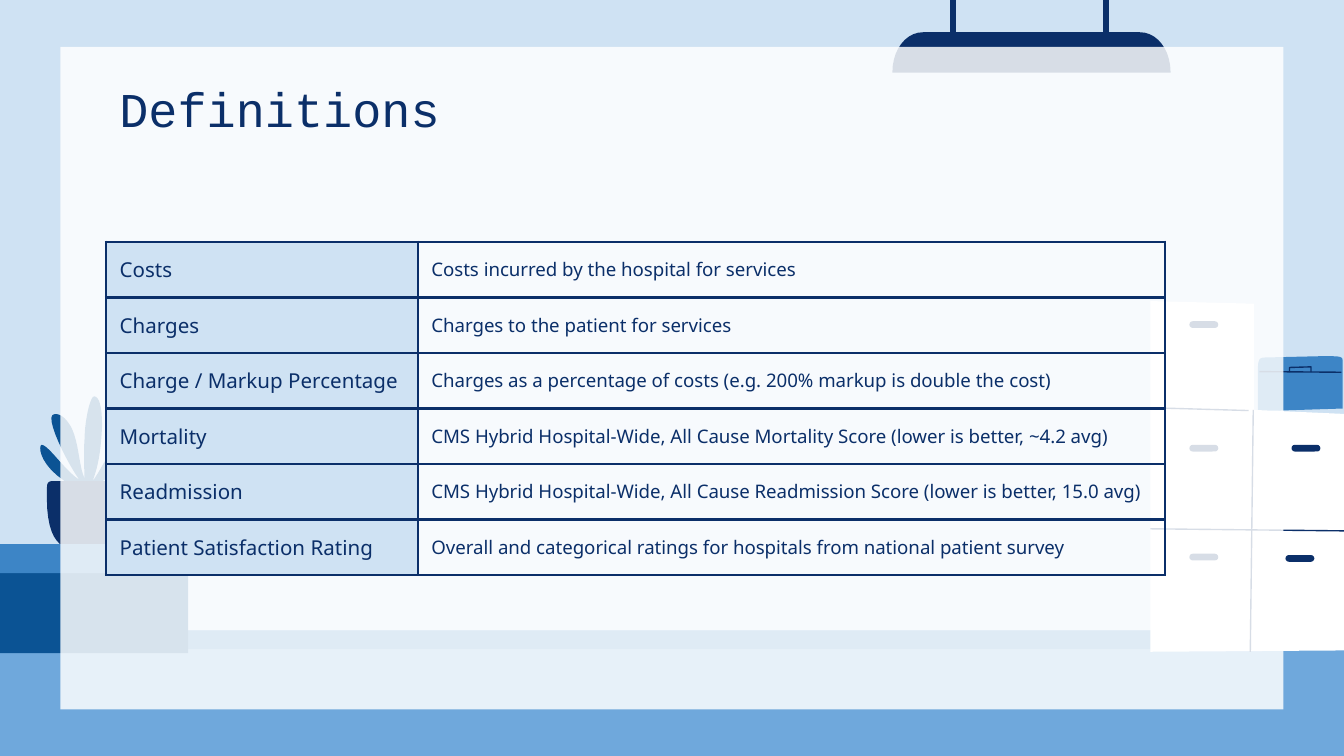
import pptx
import pptx.util
import pptx.dml.color
import pptx.enum.shapes
import pptx.enum.text
import pptx.oxml.ns
from lxml import etree

HUES = {
    "sky": "CFE2F3", "floor": "6FA8DC", "navy": "0B2F69", "mid": "3D85C6",
    "deep": "0B5394", "white": "FFFFFF",
}
KINDS = pptx.enum.shapes.MSO_SHAPE
COLS, ROWS = 100, 56.25
CELL = {
    "margin_left": pptx.util.Inches(0.1), "margin_right": pptx.util.Inches(0.1),
    "margin_top": 0, "margin_bottom": 0,
    "vertical_anchor": pptx.enum.text.MSO_ANCHOR.MIDDLE,
}
BOX = {
    "word_wrap": True, "vertical_anchor": pptx.enum.text.MSO_ANCHOR.TOP,
    **{f"margin_{side}": pptx.util.Inches(0.1) for side in ("left", "right", "top", "bottom")},
}
PLAIN = {"first_row": False, "horz_banding": False}

TERMS = [
    ("Costs", "Costs incurred by the hospital for services"),
    ("Charges", "Charges to the patient for services"),
    ("Charge / Markup Percentage",
     "Charges as a percentage of costs (e.g. 200% markup is double the cost)"),
    ("Mortality",
     "CMS Hybrid Hospital-Wide, All Cause Mortality Score (lower is better, ~4.2 avg)"),
    ("Readmission",
     "CMS Hybrid Hospital-Wide, All Cause Readmission Score (lower is better, 15.0 avg)"),
    ("Patient Satisfaction Rating",
     "Overall and categorical ratings for hospitals from national patient survey"),
]

SHADE = [(68.7, 2.4), (67.4, 2.4, 66.4, 3.7, 66.4, 5.4), (87.1, 5.4),
         (87.1, 3.7, 86.1, 2.4, 84.8, 2.4)]
CASE = [(98.4, 26.5), (99.6, 26.5, 99.9, 26.5, 99.9, 26.8), (99.9, 30.4), (93.6, 30.6),
        (93.6, 27.6), (93.6, 26.7, 93.7, 26.6, 94.2, 26.6)]
SHELF = [(85.6, 22.4), (93.3, 22.6), (93.3, 30.5), (100, 30.8), (100, 48.4), (85.6, 48.5)]
CLASP = [(95.95, 27.7), (95.95, 27.35), (97.55, 27.3), (97.55, 27.7)]
LEAVES = [
    (7, 29.5), (7.2, 29.5, 7.6, 29.7, 7.6, 31.7), (7.5, 33.7, 7.3, 34.7, 6.9, 35.8),
    (6.9, 35.8, 7.2, 35.4, 7.7, 34.5), (8.3, 33.6, 8.6, 33.1, 9, 33.1),
    (9.4, 33.1, 9.4, 33.7, 8.9, 34.5), (8.4, 35.3, 7.9, 35.8, 6.9, 36.1),
    (6.9, 36.1, 6.9, 36.2, 6.4, 36.2), (6.2, 36.2, 5.9, 36.2, 5.5, 36.2),
    (3, 34.9, 2.8, 33.2, 3.1, 33.1), (3.6, 33.1, 4.8, 35, 5.9, 35.7),
    (4.8, 34.1, 3.5, 31.3, 3.9, 30.9), (4.3, 30.6, 5, 31.1, 5.4, 32),
    (5.9, 33.2, 5.9, 34.8, 6.3, 35.6), (6.3, 35.6, 6.2, 33.7, 6.3, 32.6),
    (6.3, 31.4, 6.7, 29.5, 7, 29.5),
]
POT = [(8.7, 35.8), (8.9, 35.8, 9.2, 36, 9.2, 36.2), (9.3, 37.4, 9, 40.6, 7.3, 40.9),
       (7, 40.9, 6.6, 41, 6.2, 41), (5.8, 41, 5.4, 40.9, 5, 40.8),
       (4, 40.4, 3.4, 39.3, 3.5, 36.3), (3.5, 36.1, 3.5, 35.8, 3.9, 35.8)]


def tint(hue):
    return pptx.dml.color.RGBColor.from_string(HUES[hue])


def apply(item, form):
    for name, value in form.items():
        setattr(item, name, value)


def trace(steps, parts=10):
    spots = [steps[0]]
    for step in steps[1:]:
        if len(step) == 2:
            spots.append(step)
            continue
        knots = [spots[-1], step[:2], step[2:4], step[4:]]
        for part in range(1, parts + 1):
            t = part / parts
            loads = ((1 - t) ** 3, 3 * t * (1 - t) ** 2, 3 * t * t * (1 - t), t ** 3)
            spots.append(tuple(sum(w * k[axis] for w, k in zip(loads, knots))
                               for axis in (0, 1)))
    return spots


class Deck:
    def __init__(self):
        self.file = pptx.Presentation()
        self.unit = pptx.util.Inches(10) / COLS
        apply(self.file, {"slide_width": self.size(COLS), "slide_height": self.size(ROWS)})
        self.slide = self.file.slides.add_slide(self.file.slide_layouts[6])
        self.slide.background.fill.solid()
        self.slide.background.fill.fore_color.rgb = tint("sky")
        self.shapes = self.slide.shapes

    def size(self, count):
        return pptx.util.Emu(round(count * self.unit))

    def grid(self, *counts):
        return [self.size(count) for count in counts]

    def paint(self, shape, fill=None, line=None, width=0.75):
        shape.shadow.inherit = False
        for part, hue in ((shape.fill, fill), (shape.line.fill, line)):
            if hue:
                part.solid()
                part.fore_color.rgb = tint(hue)
            else:
                part.background()
        if line:
            shape.line.width = pptx.util.Pt(width)
        return shape

    def block(self, place, fill, line=None, kind=KINDS.RECTANGLE, alpha=None):
        shape = self.paint(self.shapes.add_shape(kind, *self.grid(*place)), fill, line)
        if kind == KINDS.ROUNDED_RECTANGLE:
            shape.adjustments[0] = 0.5
        if alpha:
            hue = shape._element.spPr.find(".//" + pptx.oxml.ns.qn("a:srgbClr"))
            etree.SubElement(hue, pptx.oxml.ns.qn("a:alpha")).set("val", str(alpha * 1000))

    def form(self, steps, fill=None, line=None):
        spots = [self.grid(*spot) for spot in trace(steps)]
        maker = self.shapes.build_freeform(*spots[0])
        maker.add_line_segments(spots[1:], close=bool(fill))
        self.paint(maker.convert_to_shape(), fill, line)

    def rule(self, *ends):
        line = self.shapes.add_connector(
            pptx.enum.shapes.MSO_CONNECTOR.STRAIGHT, *self.grid(*ends))
        line.line.color.rgb = tint("navy")
        line.line.width = pptx.util.Pt(0.75)
        etree.SubElement(line._element.spPr, pptx.oxml.ns.qn("a:effectLst"))

    def label(self, frame, text, face, size):
        run = frame.paragraphs[0].add_run()
        run.text = text
        apply(run.font, {"name": face, "size": pptx.util.Pt(size)})
        run.font.color.rgb = tint("navy")

    def title(self, place, text):
        frame = self.shapes.add_textbox(*self.grid(*place)).text_frame
        apply(frame, BOX)
        self.label(frame, text, "Courier New", 26)

    def edge(self, cell):
        props = cell._tc.get_or_add_tcPr()
        for rank, side in enumerate(("lnL", "lnR", "lnT", "lnB")):
            line = etree.Element(pptx.oxml.ns.qn("a:" + side), w=str(int(pptx.util.Pt(1.5))))
            fill = etree.SubElement(line, pptx.oxml.ns.qn("a:solidFill"))
            etree.SubElement(fill, pptx.oxml.ns.qn("a:srgbClr"), val=HUES["navy"])
            props.insert(rank, line)

    def table(self, left, top, spans, high, rows):
        place = self.grid(left, top, sum(spans), high * len(rows))
        table = self.shapes.add_table(len(rows), len(spans), *place).table
        apply(table, PLAIN)
        for col, span in zip(table.columns, spans):
            col.width = self.size(span)
        for r, row in enumerate(rows):
            table.rows[r].height = self.size(high)
            for c, text in enumerate(row):
                cell = table.cell(r, c)
                apply(cell, CELL)
                if c == 0:
                    cell.fill.solid()
                    cell.fill.fore_color.rgb = tint("sky")
                else:
                    cell.fill.background()
                self.edge(cell)
                self.label(cell.text_frame, text, "Noto Sans", 11 - c)


def main():
    deck = Deck()
    deck.block((0, 46.9, COLS, ROWS - 46.9), "floor")
    deck.form(SHADE, "navy")
    for left in (70.7, 82.1):
        deck.block((left, 0, 0.35, 3.5), "navy", "navy")
    deck.block((0, 46.9, COLS, 1.4), "mid")
    deck.form(CASE, "mid")
    deck.form(SHELF, "white")
    for ends in ((93.25, 30.5, 93.03, 48.5), (85.6, 39.35, 100, 39.5),
                 (85.9, 30.35, 92.9, 30.55), (93.7, 27.65, 99.8, 27.7)):
        deck.rule(*ends)
    for left, top in ((88.5, 23.9), (88.5, 33.1), (96.1, 33.1), (95.65, 41.3), (88.5, 41.2)):
        deck.block((left, top, 2.15, 0.5), "navy", kind=KINDS.ROUNDED_RECTANGLE)
    deck.form(CLASP, line="navy")
    deck.form(LEAVES, "deep")
    deck.form(POT, "navy")
    deck.block((0, 40.5, 14, 8.1), "deep")
    deck.block((0, 40.5, 14, 2.15), "mid")
    deck.block((4.5, 3.5, 91, 49.3), "white", alpha=84)
    deck.title((7.9, 4.9, 84.3, 6.3), "Definitions")
    deck.table(7.9, 18, (23.2, 55.6), 4.13, TERMS)
    deck.file.save("out.pptx")


if __name__ == "__main__":
    main()
